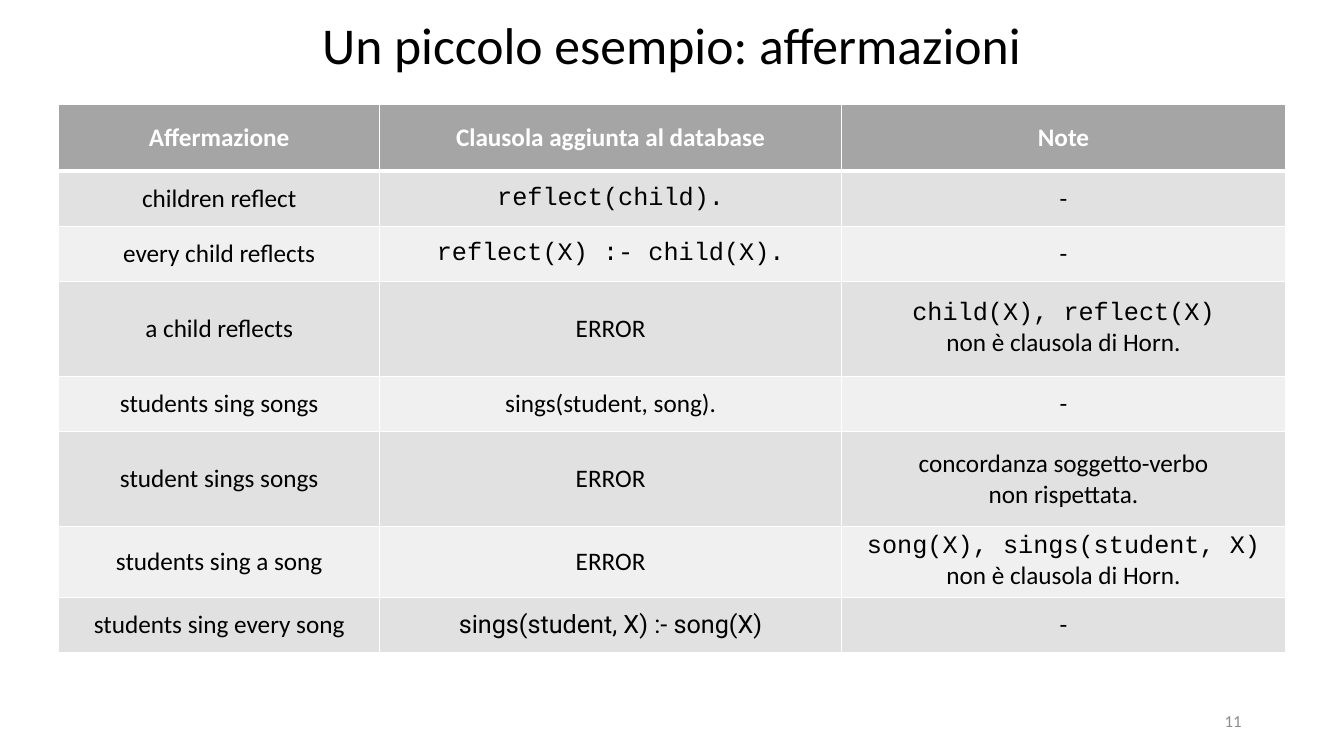
import pptx
import pptx.dml.color
import pptx.enum.text
import pptx.oxml
import pptx.oxml.ns
import pptx.util

Pt = pptx.util.Pt
RGBColor = pptx.dml.color.RGBColor
ALIGN = pptx.enum.text.PP_ALIGN
MIDDLE = pptx.enum.text.MSO_ANCHOR.MIDDLE

BLACK = RGBColor(0x00, 0x00, 0x00)
WHITE = RGBColor(0xFF, 0xFF, 0xFF)
NUMBER_GRAY = RGBColor(0x8C, 0x8C, 0x8C)
HEADER_GRAY = RGBColor(0xA5, 0xA5, 0xA5)
BAND_GRAYS = (RGBColor(0xE1, 0xE1, 0xE1), RGBColor(0xF0, 0xF0, 0xF0))

TEXT, CODE, ROBOTO = "Calibri", "Courier New", "Roboto"
TITLE_FORMAT = {"name": TEXT, "size": Pt(36.9), "bold": False}
NUMBER_FORMAT = {"name": TEXT, "size": Pt(12), "bold": False}
HEADER_FORMAT = {"name": TEXT, "size": Pt(18), "bold": True}
BODY_FORMAT = {"name": TEXT, "size": Pt(18), "bold": False}

COLUMN_WIDTHS = (229.2, 330, 317)
ROW_HEIGHTS = (47.5, 39.6, 39.6, 67.7, 39.6, 67.7, 49.7, 39.6)

# Each cell is a list of (text, font) lines
NO_NOTE = [("-", TEXT)]
ERROR = [("ERROR", TEXT)]
NOT_HORN = ("non è clausola di Horn.", TEXT)
HEADERS = ("Affermazione", "Clausola aggiunta al database", "Note")
STATEMENTS = (
    ("children reflect", [("reflect(child).", CODE)], NO_NOTE),
    ("every child reflects", [("reflect(X) :- child(X).", CODE)], NO_NOTE),
    ("a child reflects", ERROR, [("child(X), reflect(X)", CODE), NOT_HORN]),
    ("students sing songs", [("sings(student, song).", TEXT)], NO_NOTE),
    ("student sings songs", ERROR,
     [("concordanza soggetto-verbo", TEXT), ("non rispettata.", TEXT)]),
    ("students sing a song", ERROR, [("song(X), sings(student, X)", CODE), NOT_HORN]),
    ("students sing every song", [("sings(student, X) :- song(X)", ROBOTO)], NO_NOTE),
)


def place(shape, box):
    for name, value in zip(("left", "top", "width", "height"), box):
        setattr(shape, name, Pt(value))


def write(paragraph, text, font_format, color, alignment):
    run = paragraph.add_run()
    run.text = text
    for name, value in font_format.items():
        setattr(run.font, name, value)
    run.font.color.rgb = color
    paragraph.alignment = alignment


def add_title(slide, box):
    title = slide.shapes.title
    place(title, box)
    title.text_frame.vertical_anchor = MIDDLE
    paragraph = title.text_frame.paragraphs[0]
    paragraph.line_spacing = 0.8
    write(paragraph, "Un piccolo esempio: affermazioni", TITLE_FORMAT, BLACK, ALIGN.CENTER)


def add_slide_number(slide, box):
    text_frame = slide.shapes.add_textbox(*map(Pt, box)).text_frame
    text_frame.word_wrap = True
    text_frame.vertical_anchor = MIDDLE
    write(text_frame.paragraphs[0], "11", NUMBER_FORMAT, NUMBER_GRAY, ALIGN.RIGHT)


def set_borders(cell, bottom_width):
    properties = cell._tc.get_or_add_tcPr()
    for side, width in (("L", 1), ("R", 1), ("T", 1), ("B", bottom_width)):
        properties.append(pptx.oxml.parse_xml(
            f'<a:ln{side} {pptx.oxml.ns.nsdecls("a")} w="{Pt(width)}">'
            f'<a:solidFill><a:srgbClr val="{WHITE}"/></a:solidFill></a:ln{side}>'))


def fill_cell(cell, lines, font_format, color, background, bottom_width):
    set_borders(cell, bottom_width)
    cell.fill.solid()
    cell.fill.fore_color.rgb = background
    cell.vertical_anchor = MIDDLE
    text_frame = cell.text_frame
    for index, (text, font) in enumerate(lines):
        paragraph = text_frame.add_paragraph() if index else text_frame.paragraphs[0]
        write(paragraph, text, {**font_format, "name": font}, color, ALIGN.CENTER)


def add_statement_table(slide, left, top):
    table = slide.shapes.add_table(
        len(ROW_HEIGHTS), len(COLUMN_WIDTHS), Pt(left), Pt(top),
        Pt(sum(COLUMN_WIDTHS)), Pt(sum(ROW_HEIGHTS))).table
    for column, width in zip(table.columns, COLUMN_WIDTHS):
        column.width = Pt(width)
    for row, height in zip(table.rows, ROW_HEIGHTS):
        row.height = Pt(height)

    # Header row
    for cell, header in zip(table.rows[0].cells, HEADERS):
        fill_cell(cell, [(header, TEXT)], HEADER_FORMAT, WHITE, HEADER_GRAY, 3)

    # Banded statement rows
    for index, (statement, clause, note) in enumerate(STATEMENTS):
        contents = ([(statement, TEXT)], clause, note)
        for cell, lines in zip(table.rows[index + 1].cells, contents):
            fill_cell(cell, lines, BODY_FORMAT, BLACK, BAND_GRAYS[index % 2], 1)


def main():
    presentation = pptx.Presentation()
    presentation.slide_width = Pt(960)
    presentation.slide_height = Pt(540)
    slide = presentation.slides.add_slide(presentation.slide_layouts[5])
    add_slide_number(slide, (678, 500.5, 216, 28.8))
    add_title(slide, (66, 12.2, 828, 46.8))
    add_statement_table(slide, 42, 74.5)
    presentation.save("out.pptx")


if __name__ == "__main__":
    main()
